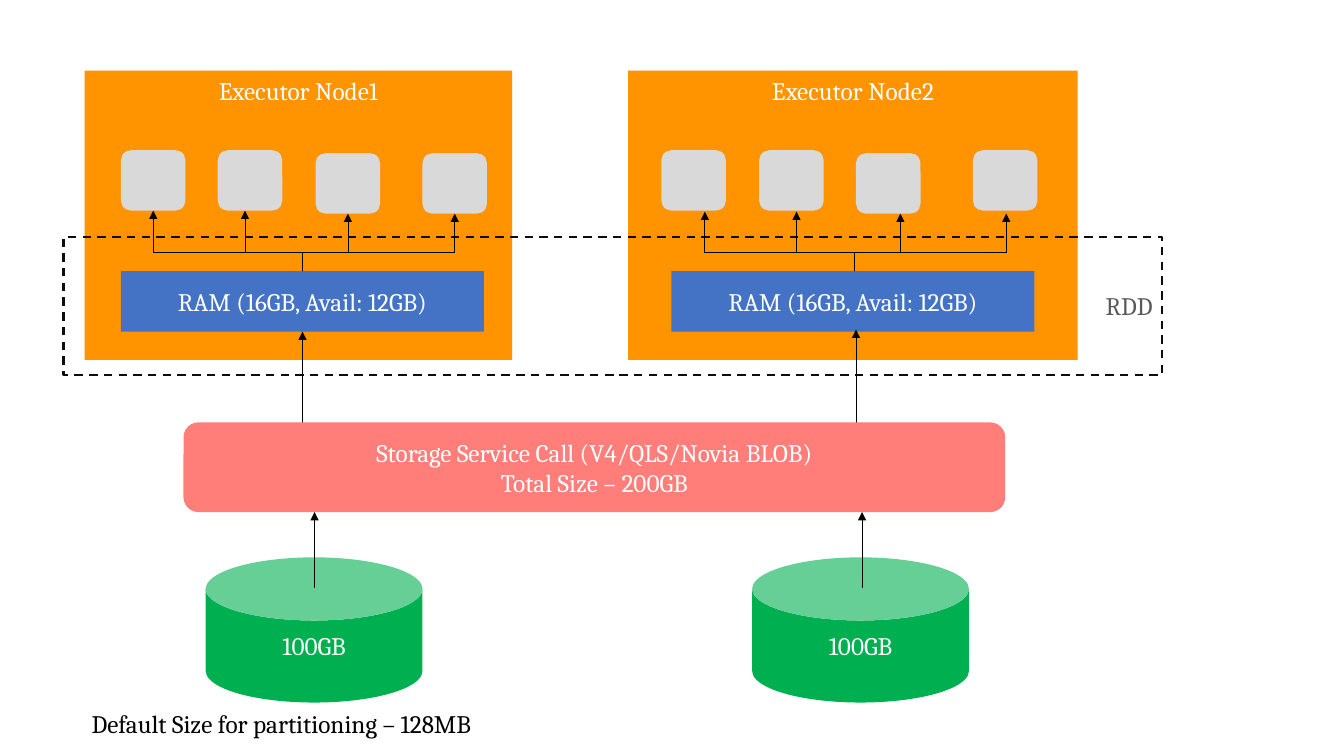
from lxml.etree import SubElement
from pptx import Presentation
from pptx.dml.color import RGBColor
from pptx.enum.dml import MSO_LINE
from pptx.enum.shapes import MSO_CONNECTOR, MSO_SHAPE
from pptx.enum.text import MSO_ANCHOR, PP_ALIGN
from pptx.oxml.ns import qn
from pptx.util import Inches, Pt

WHITE = RGBColor(0xFF, 0xFF, 0xFF)
BLACK = RGBColor(0x00, 0x00, 0x00)
ORANGE = RGBColor(0xFF, 0x93, 0x00)
GREEN = RGBColor(0x00, 0xB0, 0x50)
GRAY = RGBColor(0xD9, 0xD9, 0xD9)
BLUE = RGBColor(0x44, 0x72, 0xC4)
CORAL = RGBColor(0xFF, 0x7E, 0x79)
NEAR_BLACK = RGBColor(0x0D, 0x0D, 0x0D)
DARK_GRAY = RGBColor(0x59, 0x59, 0x59)
FONT = "Cambria"
CORE_WIDTH, CORE_HEIGHT = 0.64, 0.6
RAM_WIDTH, RAM_HEIGHT = 3.6, 0.6
BEND_Y = 2.5


def write_text(shape, text, color, alignment, anchor):
    text_frame = shape.text_frame
    text_frame.text = text
    text_frame.word_wrap = True
    text_frame.vertical_anchor = anchor
    for paragraph in text_frame.paragraphs:
        paragraph.alignment = alignment
        for run in paragraph.runs:
            run.font.name = FONT
            run.font.size = Pt(18)
            run.font.color.rgb = color


def add_block(slide, kind, box, fill, text="", color=WHITE,
              alignment=PP_ALIGN.CENTER, anchor=MSO_ANCHOR.MIDDLE):
    shape = slide.shapes.add_shape(kind, *(Inches(length) for length in box))
    shape.shadow.inherit = False
    shape.line.fill.background()
    if fill is None:
        shape.fill.background()
    else:
        shape.fill.solid()
        shape.fill.fore_color.rgb = fill
    if text:
        write_text(shape, text, color, alignment, anchor)
    return shape


def add_arrow(slide, kind, start, end):
    connector = slide.shapes.add_connector(
        kind, *(Inches(length) for length in (*start, *end)))
    connector.line.color.rgb = BLACK
    connector.line.width = Pt(0.5)
    SubElement(connector.line._get_or_add_ln(), qn("a:tailEnd"), type="triangle")
    SubElement(connector._element.spPr, qn("a:effectLst"))
    return connector


def add_straight_arrow(slide, x, bottom, top):
    return add_arrow(slide, MSO_CONNECTOR.STRAIGHT, (x, bottom), (x, top))


def add_upward_elbow(slide, start, end):
    rise, run = start[1] - end[1], abs(end[0] - start[0])
    left = (start[0] + end[0] - rise) / 2
    top = (start[1] + end[1] - run) / 2
    connector = add_arrow(slide, MSO_CONNECTOR.ELBOW,
                          (left, top), (left + rise, top + run))
    properties = connector._element.spPr
    transform = properties.find(qn("a:xfrm"))
    transform.set("flipV", "1")
    if end[0] < start[0]:
        transform.set("rot", "16200000")
    else:
        transform.set("rot", "5400000")
        transform.set("flipH", "1")
    geometry = properties.find(qn("a:prstGeom"))
    guides = geometry.find(qn("a:avLst"))
    if guides is None:
        guides = SubElement(geometry, qn("a:avLst"))
    bend = round((start[1] - BEND_Y) / rise * 100000)
    SubElement(guides, qn("a:gd"), name="adj1", fmla=f"val {bend}")


def add_executor(slide, box, name, cores, ram_offset):
    left, top, width, height = box
    add_block(slide, MSO_SHAPE.RECTANGLE, box, ORANGE, name, anchor=MSO_ANCHOR.TOP)
    for core_x, core_y in cores:
        add_block(slide, MSO_SHAPE.ROUNDED_RECTANGLE,
                  (left + core_x, top + core_y, CORE_WIDTH, CORE_HEIGHT), GRAY)
    return add_block(slide, MSO_SHAPE.RECTANGLE,
                     (left + ram_offset, top + 1.99, RAM_WIDTH, RAM_HEIGHT),
                     BLUE, "RAM (16GB, Avail: 12GB)")


def add_core_arrows(slide, start, tips):
    for tip in tips:
        add_upward_elbow(slide, start, tip)


def add_rdd_frame(slide, box):
    frame = add_block(slide, MSO_SHAPE.RECTANGLE, box, None, "RDD", DARK_GRAY,
                      PP_ALIGN.RIGHT)
    frame.line.color.rgb = NEAR_BLACK
    frame.line.width = Pt(1.5)
    frame.line.dash_style = MSO_LINE.DASH


def add_disk(slide, box):
    disk = add_block(slide, MSO_SHAPE.CAN, box, GREEN, "100GB")
    disk.adjustments[0] = 0.435


def add_caption(slide, box):
    caption = slide.shapes.add_textbox(*(Inches(length) for length in box))
    write_text(caption, "Default Size for partitioning – 128MB", BLACK,
               PP_ALIGN.LEFT, MSO_ANCHOR.TOP)


def main():
    presentation = Presentation()
    presentation.slide_width = Inches(13.33)
    presentation.slide_height = Inches(7.5)
    slide = presentation.slides.add_slide(presentation.slide_layouts[6])

    first_ram = add_executor(
        slide, (0.84, 0.7, 4.24, 2.87), "Executor Node1",
        [(0.36, 0.79), (1.32, 0.79), (2.29, 0.82), (3.35, 0.82)], 0.36)
    add_executor(
        slide, (6.23, 0.7, 4.46, 2.87), "Executor Node2",
        [(0.33, 0.79), (1.3, 0.79), (2.26, 0.82), (3.42, 0.79)], 0.43)
    for disk_left in (2.04, 7.46):
        add_disk(slide, (disk_left, 5.53, 2.15, 1.44))

    first_load = add_straight_arrow(slide, 3, 4.93, 3.29)
    first_load.end_connect(first_ram, 2)
    add_straight_arrow(slide, 8.49, 4.91, 3.27)
    add_rdd_frame(slide, (0.63, 2.35, 10.9, 1.37))
    add_caption(slide, (0.81, 6.98, 4.6, 0.4))

    add_core_arrows(slide, (3, 2.69),
                    [(1.52, 2.09), (4.51, 2.12), (3.45, 2.12), (2.43, 2.09)])
    add_core_arrows(slide, (8.47, 2.69),
                    [(6.99, 2.1), (9.98, 2.12), (8.93, 2.12), (7.9, 2.1)])

    add_block(slide, MSO_SHAPE.ROUNDED_RECTANGLE, (1.82, 4.19, 8.15, 0.89), CORAL,
              "Storage Service Call (V4/QLS/Novia BLOB)\nTotal Size – 200GB")
    for arrow_x in (3.12, 8.55):
        add_straight_arrow(slide, arrow_x, 5.83, 5.08)

    presentation.save("out.pptx")


if __name__ == "__main__":
    main()
